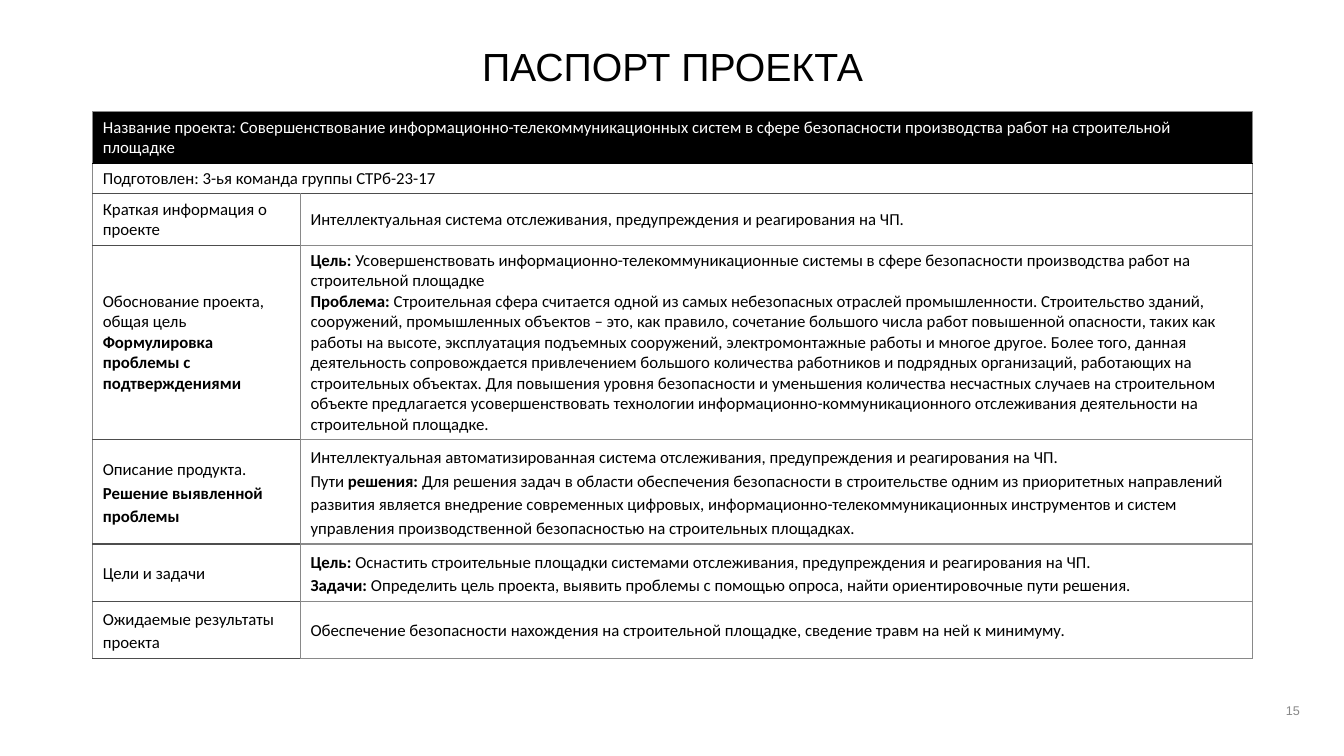
import pptx
import pptx.util
import pptx.dml.color
import pptx.enum.text
import pptx.oxml
import pptx.oxml.ns

Inches, Pt = pptx.util.Inches, pptx.util.Pt
ALIGN = pptx.enum.text.PP_ALIGN
MIDDLE = pptx.enum.text.MSO_ANCHOR.MIDDLE

TITLE = "ПАСПОРТ ПРОЕКТА"
PAGE = "15"
# Each row: height, line spacing, cells; a cell is a list of paragraphs, **bold**.
# A row with one cell spans both columns.
ROWS = [
    (0.51, 1, [["Название проекта: Совершенствование информационно-телекоммуникационных систем "
                "в сфере безопасности производства работ на строительной площадке"]]),
    (0.3, 1, [["Подготовлен: 3-ья команда группы СТРб-23-17"]]),
    (0.51, 1, [["Краткая информация о проекте"],
               ["Интеллектуальная система отслеживания, предупреждения и реагирования на ЧП."]]),
    (1.92, 1, [["Обоснование проекта, общая цель", "**Формулировка проблемы с подтверждениями**"],
               ["**Цель: **Усовершенствовать информационно-телекоммуникационные системы в сфере "
                "безопасности производства работ на строительной площадке",
                "**Проблема: **Строительная сфера считается одной из самых небезопасных отраслей "
                "промышленности. Строительство зданий, сооружений, промышленных объектов – это, как "
                "правило, сочетание большого числа работ повышенной опасности, таких как работы на "
                "высоте, эксплуатация подъемных сооружений, электромонтажные работы и многое другое. "
                "Более того, данная деятельность сопровождается привлечением большого количества "
                "работников и подрядных организаций, работающих на строительных объектах. Для "
                "повышения уровня безопасности и уменьшения количества несчастных случаев на "
                "строительном объекте предлагается усовершенствовать технологии "
                "информационно-коммуникационного отслеживания деятельности на строительной "
                "площадке."]]),
    (1.03, 1.15, [["Описание продукта. **Решение выявленной проблемы**"],
                  ["Интеллектуальная автоматизированная система отслеживания, предупреждения и "
                   "реагирования на ЧП.",
                   "Пути **решения:** Для решения задач в области обеспечения безопасности в "
                   "строительстве одним из приоритетных направлений развития является внедрение "
                   "современных цифровых, информационно-телекоммуникационных инструментов и систем "
                   "управления производственной безопасностью на строительных площадках."]]),
    (0.56, 1.15, [["Цели и задачи"],
                  ["**Цель: **Оснастить строительные площадки системами отслеживания, "
                   "предупреждения и реагирования на ЧП.",
                   "**Задачи: **Определить цель проекта, выявить проблемы с помощью опроса, найти "
                   "ориентировочные пути решения."]]),
    (0.56, 1.15, [["Ожидаемые результаты проекта"],
                  ["Обеспечение безопасности нахождения на строительной площадке, сведение травм "
                   "на ней к минимуму."]]),
]
COLUMNS = [2.06, 9.44]
LEFT, TOP = 0.92, 1.11
BLACK, WHITE, DARK, GRAY, PALE = "000000", "FFFFFF", "4D4D4D", "898989", "888888"
TITLE_FONT = {"name": "Arial", "size": Pt(28)}
PAGE_FONT = {"name": "Arial", "size": Pt(9)}
CELL_FONT = {"name": "Calibri", "size": Pt(12)}


def rgb(value):
    return pptx.dml.color.RGBColor.from_string(value)


def write(tf, paragraphs, font, color, align, spacing):
    """Fill a text frame; text between ** marks becomes bold."""
    tf.word_wrap = True
    tf.vertical_anchor = MIDDLE
    for i, text in enumerate(paragraphs):
        p = tf.add_paragraph() if i else tf.paragraphs[0]
        p.alignment, p.line_spacing = align, spacing
        for n, part in enumerate(text.split("**")):
            if part:
                r = p.add_run()
                r.text = part
                for key, value in font.items():
                    setattr(r.font, key, value)
                r.font.bold = n % 2 == 1
                r.font.color.rgb = rgb(color)


def set_borders(cell, top, bottom):
    tc_pr = cell._tc.get_or_add_tcPr()
    sides = [("lnL", GRAY), ("lnR", GRAY), ("lnT", top), ("lnB", bottom)]
    for i, (tag, color) in enumerate(sides):
        tc_pr.insert(i, pptx.oxml.parse_xml(
            f'<a:{tag} {pptx.oxml.ns.nsdecls("a")} w="12700"><a:solidFill>'
            f'<a:srgbClr val="{color}"/></a:solidFill></a:{tag}>'))


def border_colors(row, col):
    """Top and bottom colours of a cell's border."""
    if row == 0:
        return GRAY, BLACK
    if row == 1:
        return BLACK, DARK
    if col == 0:
        return DARK, DARK
    return (DARK if row == 2 else GRAY), GRAY


def add_passport(s):
    heights = [height for height, _, _ in ROWS]
    frame = s.shapes.add_table(len(ROWS), len(COLUMNS), Inches(LEFT), Inches(TOP),
                               Inches(sum(COLUMNS)), Inches(sum(heights)))
    table = frame.table
    table.first_row = table.horz_banding = False
    for column, width in zip(table.columns, COLUMNS):
        column.width = Inches(width)
    for row, (height, spacing, cells) in enumerate(ROWS):
        table.rows[row].height = Inches(height)
        if len(cells) == 1:
            table.cell(row, 0).merge(table.cell(row, 1))
        for col in range(len(COLUMNS)):
            cell = table.cell(row, col)
            cell.vertical_anchor = MIDDLE
            if row == 0:
                cell.fill.solid()
                cell.fill.fore_color.rgb = rgb(BLACK)
            else:
                cell.fill.background()
            set_borders(cell, *border_colors(row, col))
            if col < len(cells):
                write(cell.text_frame, cells[col], CELL_FONT,
                      BLACK if row else WHITE, ALIGN.LEFT, spacing)
                cell.vertical_anchor = MIDDLE


def main():
    prs = pptx.Presentation()
    prs.slide_width, prs.slide_height = Inches(13.33), Inches(7.5)
    s = prs.slides.add_slide(prs.slide_layouts[5])
    title = s.shapes.title
    title.left, title.top = Inches(LEFT), Inches(0.29)
    title.width, title.height = Inches(sum(COLUMNS)), Inches(0.78)
    title.text_frame.auto_size = pptx.enum.text.MSO_AUTO_SIZE.NONE
    write(title.text_frame, [TITLE], TITLE_FONT, BLACK, ALIGN.CENTER, 0.9)
    add_passport(s)
    number = s.shapes.add_textbox(Inches(9.99), Inches(6.85), Inches(3), Inches(0.4))
    write(number.text_frame, [PAGE], PAGE_FONT, PALE, ALIGN.RIGHT, 1)
    prs.save("out.pptx")


if __name__ == "__main__":
    main()
